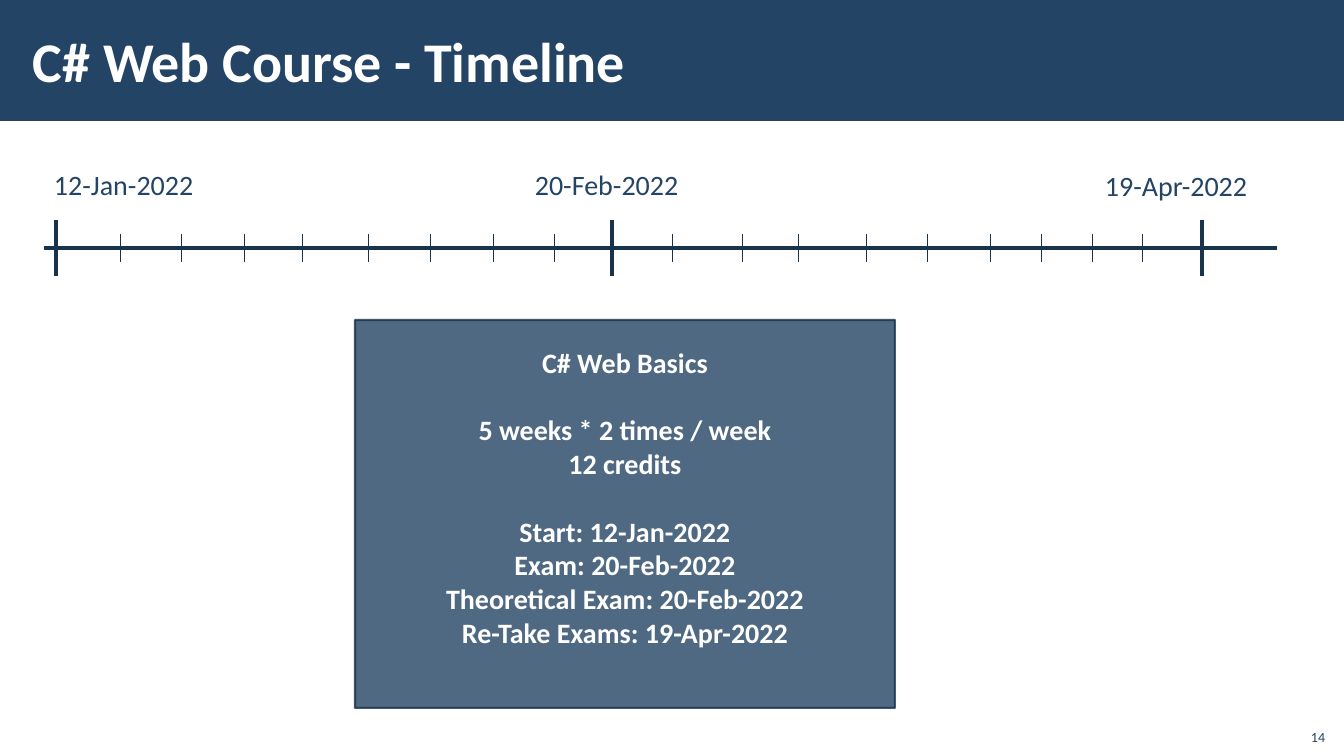
from lxml.etree import SubElement as Sub
from pptx import Presentation
from pptx.dml.color import RGBColor as RGB
from pptx.enum.shapes import MSO_CONNECTOR as Conn, MSO_SHAPE as Shape
from pptx.enum.text import MSO_ANCHOR as Anchor, MSO_AUTO_SIZE as Fit, PP_ALIGN as Align
from pptx.oxml.ns import qn
from pptx.util import Pt

PX = 914400 / 100.8
THEME = {
    "font": "Calibri",
    "navy": RGB.from_string("234465"),
    "dark": RGB.from_string("1A334C"),
    "white": RGB.from_string("FFFFFF"),
    "title": Pt(40),
    "body": Pt(20),
    "small": Pt(10),
    "thick": Pt(2.25),
    "thin": Pt(0.5),
    "edge": Pt(1.5),
}


def write(shape, text, size, color, bold=False, align=Align.LEFT, anchor=Anchor.TOP):
    frame = shape.text_frame
    frame.text = text
    frame.word_wrap = True
    frame.vertical_anchor = anchor
    for para in frame.paragraphs:
        para.alignment = align
        font = para.runs[0].font
        font.name, font.size, font.bold = THEME["font"], THEME[size], bold
        font.color.rgb = THEME[color]
    return frame


def place(*nums):
    return [round(n * PX) for n in nums]


deck = Presentation()
deck.slide_width, deck.slide_height = place(1344, 756)
slide = deck.slides.add_slide(deck.slide_layouts[6])
shapes = slide.shapes

band = shapes.add_shape(Shape.RECTANGLE, *place(0, 0, 1344, 121))
band.shadow.inherit = False
band.fill.solid()
band.fill.fore_color.rgb = THEME["navy"]
band.line.fill.background()

title = shapes.add_textbox(*place(21, 11, 1072, 98))
frame = write(title, "C# Web Course - Timeline", "title", "white", True, anchor=Anchor.MIDDLE)
frame.margin_left, frame.margin_right = place(12, 12)
frame.margin_top, frame.margin_bottom = place(4, 4)

card = shapes.add_shape(Shape.RECTANGLE, *place(355, 320, 540, 388))
card.shadow.inherit = False
card.fill.solid()
card.fill.fore_color.rgb = THEME["navy"]
card.line.color.rgb = THEME["dark"]
card.line.width = THEME["edge"]
for color in card._element.spPr.iter(qn("a:srgbClr")):
    Sub(color, qn("a:alpha"), val="80000")

facts = [
    "C# Web Basics",
    "5 weeks * 2 times / week",
    "12 credits",
    "Start: 12-Jan-2022",
    "Exam: 20-Feb-2022",
    "Theoretical Exam: 20-Feb-2022",
    "Re-Take Exams: 19-Apr-2022",
]
frame = write(card, "\n".join(facts), "body", "white", True, Align.CENTER, Anchor.MIDDLE)
frame.margin_bottom = place(39)[0]
for index in (1, 3):
    frame.paragraphs[index].space_before = Pt(24.4)

dates = [
    ("12-Jan-2022", 44, 163, 161),
    ("20-Feb-2022", 525, 163, 165),
    ("19-Apr-2022", 1095, 164, 164),
]
for date, left, top, width in dates:
    label = shapes.add_textbox(*place(left, top, width, 44))
    frame = write(label, date, "body", "navy")
    frame.word_wrap = False
    frame.auto_size = Fit.SHAPE_TO_FIT_TEXT

axis = 248
major = [56, 612, 1202]
minor = [120, 181, 244, 302, 368, 430, 493, 554, 672, 742, 798, 866, 927, 990, 1041, 1092, 1142]
lines = [(44, axis, 1277, axis, "thick")]
lines += [(x, axis - 28, x, axis + 28, "thick") for x in major]
lines += [(x, axis - 14, x, axis + 14, "thin") for x in minor]
for *ends, weight in lines:
    line = shapes.add_connector(Conn.STRAIGHT, *place(*ends))
    line.line.color.rgb = THEME["dark"]
    line.line.width = THEME[weight]
    Sub(line._element.spPr, qn("a:effectLst"))

number = shapes.add_textbox(*place(1295, 718, 40, 32))
write(number, "14", "small", "navy", align=Align.RIGHT, anchor=Anchor.BOTTOM)

deck.save("out.pptx")
